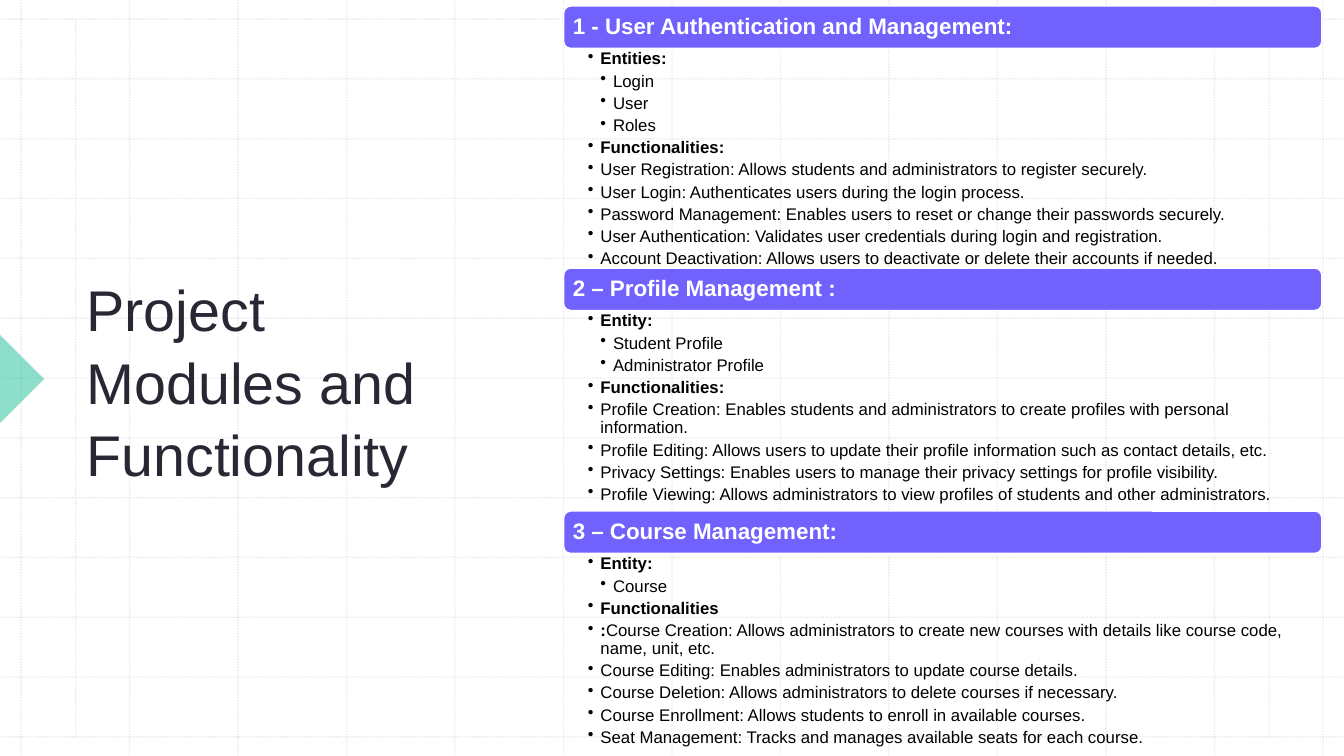
from dataclasses import dataclass

from lxml.etree import SubElement
from pptx import Presentation
from pptx.dml.color import RGBColor
from pptx.enum.dml import MSO_LINE
from pptx.enum.shapes import MSO_CONNECTOR, MSO_SHAPE
from pptx.enum.text import MSO_ANCHOR, PP_ALIGN
from pptx.oxml.ns import qn
from pptx.shapes.base import BaseShape
from pptx.slide import Slide
from pptx.text.text import TextFrame, _Paragraph as Paragraph
from pptx.util import Inches, Pt

WHITE = RGBColor(0xFF, 0xFF, 0xFF)
BLACK = RGBColor(0x00, 0x00, 0x00)
INK = RGBColor(0x2A, 0x27, 0x35)
VIOLET = RGBColor(0x71, 0x62, 0xFE)
TEAL = RGBColor(0x1E, 0xBE, 0x9B)
GRID_GREY = RGBColor(0xBC, 0xBC, 0xBC)

FONT = "Arial"
SLIDE_WIDTH, SLIDE_HEIGHT = 13.33, 7.5
GRID_LEFT, GRID_RIGHT = 0.21, 13.12
GRID_TOP, GRID_BOTTOM = 0.19, 7.31
GRID_STEPS = 12
MARGIN_LINES = (0.75, 12.59)
MODULE_LEFT, MODULE_WIDTH = 5.59, 7.52
BANNER_HEIGHT = 0.42
BULLET_INDENT = 0.125


@dataclass(frozen=True)
class Bullet:
    plain: str = ""
    bold: str = ""
    level: int = 1


@dataclass(frozen=True)
class Module:
    heading: str
    top: float
    body_height: float
    entity_label: str
    entities: tuple[str, ...]
    functions_label: str
    functions: tuple[Bullet, ...]

    def bullets(self) -> list[Bullet]:
        return [
            Bullet(bold=self.entity_label),
            *(Bullet(entity, level=2) for entity in self.entities),
            Bullet(bold=self.functions_label),
            *self.functions,
        ]


MODULES = (
    Module(
        "1 - User Authentication and Management:", 0.06, 2.21,
        "Entities:", ("Login", "User", "Roles"), "Functionalities:",
        (
            Bullet("User Registration: Allows students and administrators to register securely."),
            Bullet("User Login: Authenticates users during the login process."),
            Bullet("Password Management: Enables users to reset or change their passwords securely."),
            Bullet("User Authentication: Validates user credentials during login and registration."),
            Bullet("Account Deactivation: Allows users to deactivate or delete their accounts if needed."),
        ),
    ),
    Module(
        "2 – Profile Management :", 2.66, 1.96,
        "Entity:", ("Student Profile", "Administrator Profile"), "Functionalities:",
        (
            Bullet("Profile Creation: Enables students and administrators to create profiles "
                   "with personal information."),
            Bullet("Profile Editing: Allows users to update their profile information "
                   "such as contact details, etc."),
            Bullet("Privacy Settings: Enables users to manage their privacy settings for profile visibility."),
            Bullet("Profile Viewing: Allows administrators to view profiles of students "
                   "and other administrators."),
        ),
    ),
    Module(
        "3 – Course Management:", 5.07, 1.96,
        "Entity:", ("Course",), "Functionalities",
        (
            Bullet("Course Creation: Allows administrators to create new courses with details "
                   "like course code, name, unit, etc.", bold=":"),
            Bullet("Course Editing: Enables administrators to update course details."),
            Bullet("Course Deletion: Allows administrators to delete courses if necessary."),
            Bullet("Course Enrollment: Allows students to enroll in available courses."),
            Bullet("Seat Management: Tracks and manages available seats for each course."),
        ),
    ),
)


def set_opacity(shape: BaseShape, percent: int) -> None:
    color = next(shape.element.spPr.iter(qn("a:srgbClr")))
    SubElement(color, qn("a:alpha"), val=str(percent * 1000))


def set_insets(frame: TextFrame, left: float, top: float, right: float, bottom: float) -> None:
    frame.margin_left, frame.margin_top = Inches(left), Inches(top)
    frame.margin_right, frame.margin_bottom = Inches(right), Inches(bottom)


def add_run(paragraph: Paragraph, text: str, size: float, color: RGBColor, bold: bool = False) -> None:
    run = paragraph.add_run()
    run.text = text
    run.font.name = FONT
    run.font.size = Pt(size)
    run.font.bold = bold
    run.font.color.rgb = color


def add_grid_line(slide: Slide, x1: float, y1: float, x2: float, y2: float) -> None:
    grid_line = slide.shapes.add_connector(
        MSO_CONNECTOR.STRAIGHT, Inches(x1), Inches(y1), Inches(x2), Inches(y2))
    grid_line.line.color.rgb = GRID_GREY
    grid_line.line.width = Pt(1)
    grid_line.line.dash_style = MSO_LINE.ROUND_DOT
    set_opacity(grid_line, 30)
    SubElement(grid_line.element.spPr, qn("a:effectLst"))


def add_grid(slide: Slide) -> None:
    column = (GRID_RIGHT - GRID_LEFT) / GRID_STEPS
    row = (GRID_BOTTOM - GRID_TOP) / GRID_STEPS
    for step in range(GRID_STEPS + 1):
        x, y = GRID_LEFT + step * column, GRID_TOP + step * row
        add_grid_line(slide, x, 0, x, SLIDE_HEIGHT)
        add_grid_line(slide, 0, y, SLIDE_WIDTH, y)
    for x in MARGIN_LINES:
        add_grid_line(slide, x, GRID_TOP, x, GRID_BOTTOM)


def add_pointer(slide: Slide) -> None:
    pointer = slide.shapes.add_shape(
        MSO_SHAPE.RIGHT_TRIANGLE, Inches(-0.31), Inches(3.45), Inches(0.62), Inches(0.62))
    pointer.rotation = 225
    pointer.shadow.inherit = False
    pointer.fill.solid()
    pointer.fill.fore_color.rgb = TEAL
    pointer.line.fill.background()
    set_opacity(pointer, 50)


def add_title(slide: Slide) -> None:
    title = slide.shapes.add_textbox(Inches(0.76), Inches(0.79), Inches(3.75), Inches(5.95))
    frame = title.text_frame
    frame.word_wrap = True
    frame.vertical_anchor = MSO_ANCHOR.MIDDLE
    paragraph = frame.paragraphs[0]
    paragraph.line_spacing = 1.05
    add_run(paragraph, "Project Modules and Functionality", 41, INK)


def add_banner(slide: Slide, module: Module) -> None:
    banner = slide.shapes.add_shape(
        MSO_SHAPE.ROUNDED_RECTANGLE, Inches(MODULE_LEFT), Inches(module.top),
        Inches(MODULE_WIDTH), Inches(BANNER_HEIGHT))
    banner.shadow.inherit = False
    banner.fill.solid()
    banner.fill.fore_color.rgb = VIOLET
    banner.line.color.rgb = WHITE
    banner.line.width = Pt(1)
    frame = banner.text_frame
    frame.vertical_anchor = MSO_ANCHOR.MIDDLE
    set_insets(frame, 0.07, 0.07, 0.07, 0.07)
    heading = frame.paragraphs[0]
    heading.alignment = PP_ALIGN.LEFT
    heading.line_spacing = 0.9
    add_run(heading, module.heading, 16, WHITE, bold=True)


def add_body(slide: Slide, module: Module) -> None:
    body = slide.shapes.add_textbox(
        Inches(MODULE_LEFT), Inches(module.top + BANNER_HEIGHT),
        Inches(MODULE_WIDTH), Inches(module.body_height))
    frame = body.text_frame
    frame.word_wrap = True
    set_insets(frame, 0.24, 0.02, 0.12, 0.02)
    for index, bullet in enumerate(module.bullets()):
        paragraph = frame.add_paragraph() if index else frame.paragraphs[0]
        paragraph.level = bullet.level
        properties = paragraph._p.get_or_add_pPr()
        properties.set("marL", str(Inches(BULLET_INDENT * bullet.level)))
        properties.set("indent", str(-Inches(BULLET_INDENT)))
        SubElement(properties, qn("a:buChar"), char="•")
        paragraph.line_spacing = 0.9
        paragraph.space_after = Pt(2.9)
        for text, bold in ((bullet.bold, True), (bullet.plain, False)):
            if text:
                add_run(paragraph, text, 12, BLACK, bold)


def main() -> None:
    deck = Presentation()
    deck.slide_width, deck.slide_height = Inches(SLIDE_WIDTH), Inches(SLIDE_HEIGHT)
    slide = deck.slides.add_slide(deck.slide_layouts[6])
    add_grid(slide)
    add_pointer(slide)
    add_title(slide)
    for module in MODULES:
        add_banner(slide, module)
        add_body(slide, module)
    deck.save("out.pptx")


if __name__ == "__main__":
    main()
